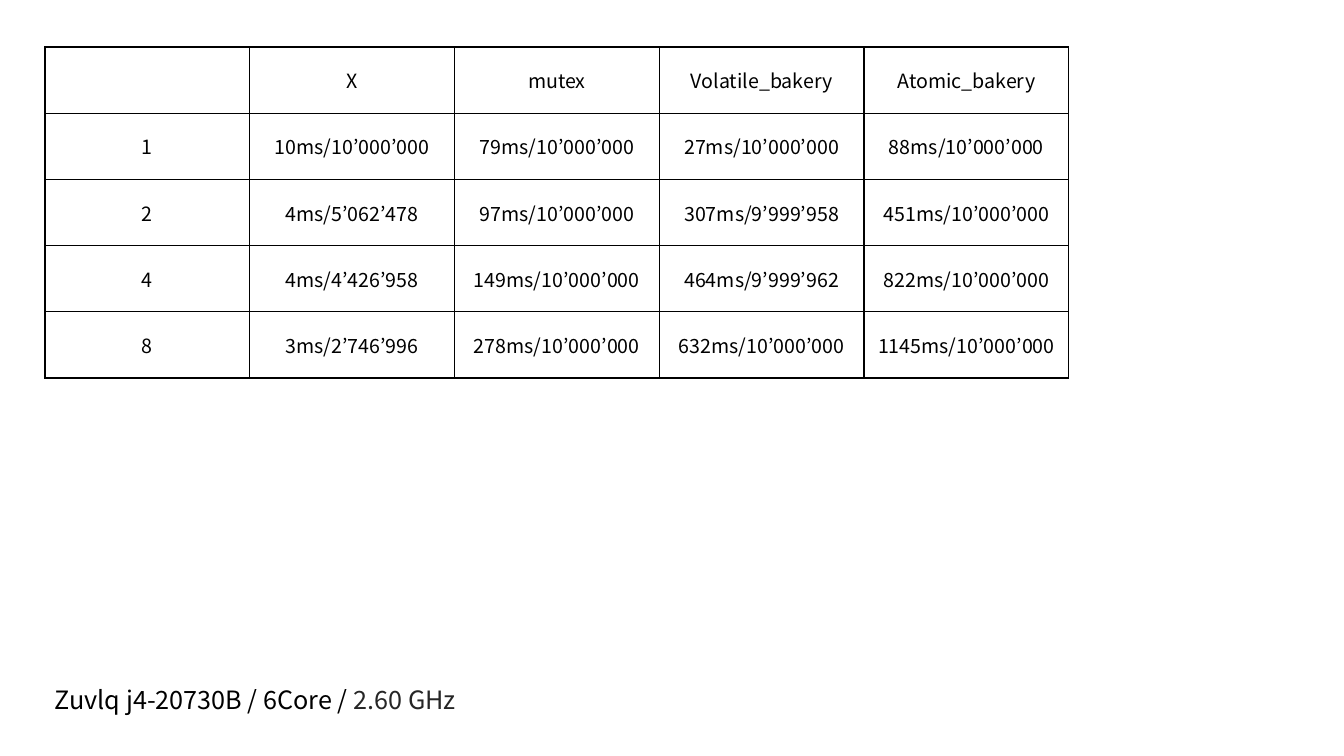
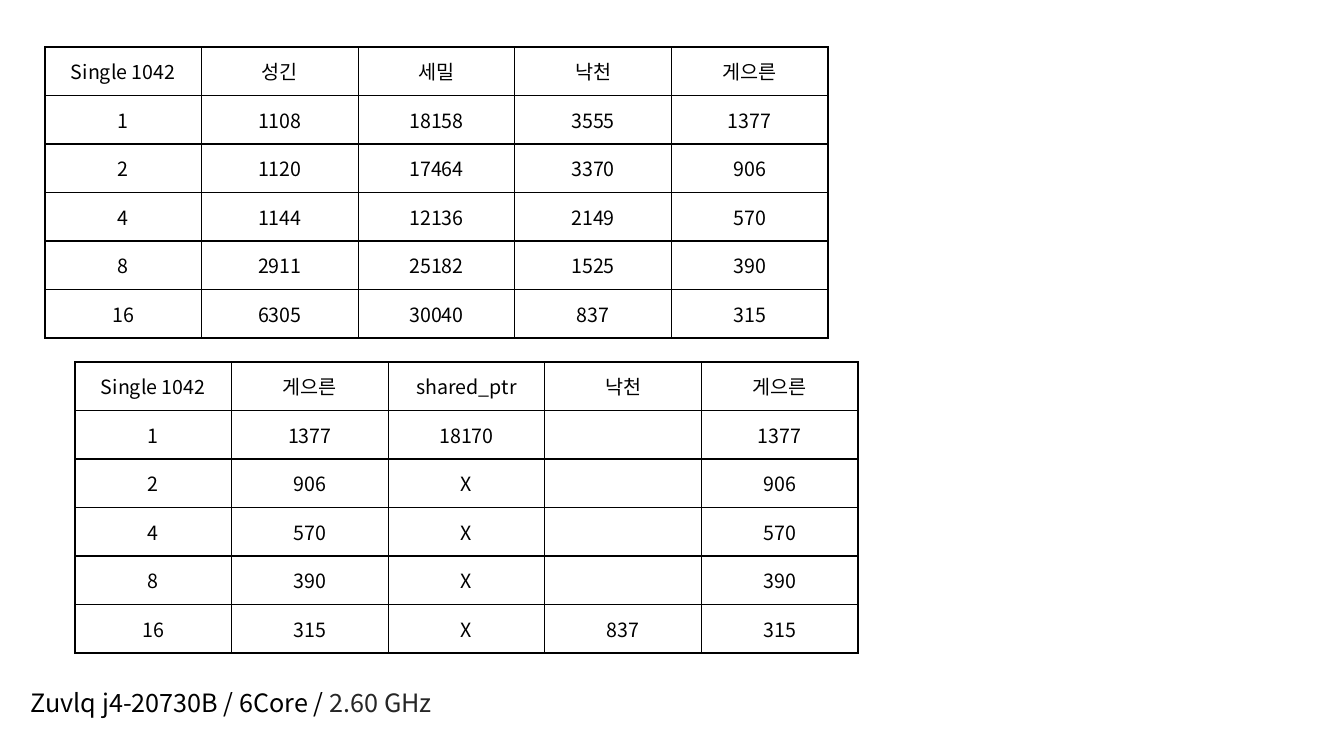
import dataclasses

import lxml.etree
import pptx
import pptx.dml.color
import pptx.enum.text
import pptx.oxml.ns
import pptx.util


@dataclasses.dataclass(frozen=True)
class Theme:
    font: str = "Noto Sans CJK KR"
    ink: str = "000000"
    soft_ink: str = "262626"
    paper: str = "FFFFFF"
    cell_size: int = 14
    note_size: int = 18
    border_width: int = 1


THEME = Theme()
EMU_PER_PX = 12192000 / 1344
SLIDE_WIDTH, SLIDE_HEIGHT = 1344, 756

LOCK_TIMES = [
    ["", "X", "mutex", "Volatile_bakery", "Atomic_bakery"],
    ["1", "10ms/10’000’000", "79ms/10’000’000", "27ms/10’000’000", "88ms/10’000’000"],
    ["2", "4ms/5’062’478", "97ms/10’000’000", "307ms/9’999’958", "451ms/10’000’000"],
    ["4", "4ms/4’426’958", "149ms/10’000’000", "464ms/9’999’962", "822ms/10’000’000"],
    ["8", "3ms/2’746’996", "278ms/10’000’000", "632ms/10’000’000", "1145ms/10’000’000"],
]
LIST_TIMES = [
    ["Single 1042", "성긴", "세밀", "낙천", "게으른"],
    ["1", "1108", "18158", "3555", "1377"],
    ["2", "1120", "17464", "3370", "906"],
    ["4", "1144", "12136", "2149", "570"],
    ["8", "2911", "25182", "1525", "390"],
    ["16", "6305", "30040", "837", "315"],
]
SHARED_PTR_TIMES = [
    ["Single 1042", "게으른", "shared_ptr", "낙천", "게으른"],
    ["1", "1377", "18170", "", "1377"],
    ["2", "906", "X", "", "906"],
    ["4", "570", "X", "", "570"],
    ["8", "390", "X", "", "390"],
    ["16", "315", "X", "837", "315"],
]


def px(length):
    return pptx.util.Emu(round(length * EMU_PER_PX))


def rgb(value):
    return pptx.dml.color.RGBColor.from_string(value)


def style_run(run, size, color):
    run.font.size = pptx.util.Pt(size)
    run.font.color.rgb = rgb(color)
    run.font.name = THEME.font
    east_asian = lxml.etree.SubElement(run.font._element, pptx.oxml.ns.qn("a:ea"))
    east_asian.set("typeface", THEME.font)


def draw_borders(cell):
    properties = cell._tc.get_or_add_tcPr()
    for position, side in enumerate(("lnL", "lnR", "lnT", "lnB")):
        border = lxml.etree.Element(pptx.oxml.ns.qn(f"a:{side}"))
        border.set("w", str(pptx.util.Pt(THEME.border_width)))
        fill = lxml.etree.SubElement(border, pptx.oxml.ns.qn("a:solidFill"))
        color = lxml.etree.SubElement(fill, pptx.oxml.ns.qn("a:srgbClr"))
        color.set("val", THEME.ink)
        properties.insert(position, border)


def fill_cell(cell, value):
    cell.fill.solid()
    cell.fill.fore_color.rgb = rgb(THEME.paper)
    draw_borders(cell)
    cell.vertical_anchor = pptx.enum.text.MSO_ANCHOR.MIDDLE
    if value:
        paragraph = cell.text_frame.paragraphs[0]
        paragraph.text = value
        paragraph.alignment = pptx.enum.text.PP_ALIGN.CENTER
        style_run(paragraph.runs[0], THEME.cell_size, THEME.ink)


def add_timings(slide, box, rows):
    left, top, width, height = box
    timings = slide.shapes.add_table(
        len(rows), len(rows[0]), px(left), px(top), px(width), px(height)
    ).table
    timings.first_row = False
    timings.horz_banding = False
    for column in timings.columns:
        column.width = px(width / len(rows[0]))
    for row, values in zip(timings.rows, rows):
        row.height = px(height / len(rows))
        for cell, value in zip(row.cells, values):
            fill_cell(cell, value)


def add_processor_note(slide, box):
    note = slide.shapes.add_textbox(*map(px, box)).text_frame
    note.word_wrap = True
    note.auto_size = pptx.enum.text.MSO_AUTO_SIZE.SHAPE_TO_FIT_TEXT
    paragraph = note.paragraphs[0]
    paragraph.text = "Zuvlq j4-20730B / 6Core / "
    clock_speed = paragraph.add_run()
    clock_speed.text = "2.60 GHz"
    style_run(paragraph.runs[0], THEME.note_size, THEME.ink)
    style_run(clock_speed, THEME.note_size, THEME.soft_ink)


def add_benchmark_slide(deck, note_box, benchmarks):
    slide = deck.slides.add_slide(deck.slide_layouts[6])
    slide.background.fill.solid()
    slide.background.fill.fore_color.rgb = rgb(THEME.paper)
    add_processor_note(slide, note_box)
    for box, rows in benchmarks:
        add_timings(slide, box, rows)


def main():
    deck = pptx.Presentation()
    deck.slide_width = px(SLIDE_WIDTH)
    deck.slide_height = px(SLIDE_HEIGHT)
    add_benchmark_slide(
        deck, (45, 679, 627, 40), [((45, 47, 1024, 331), LOCK_TIMES)]
    )
    add_benchmark_slide(
        deck,
        (21, 682, 627, 40),
        [
            ((45, 47, 783, 291), LIST_TIMES),
            ((75, 362, 783, 291), SHARED_PTR_TIMES),
        ],
    )
    deck.save("out.pptx")


if __name__ == "__main__":
    main()
